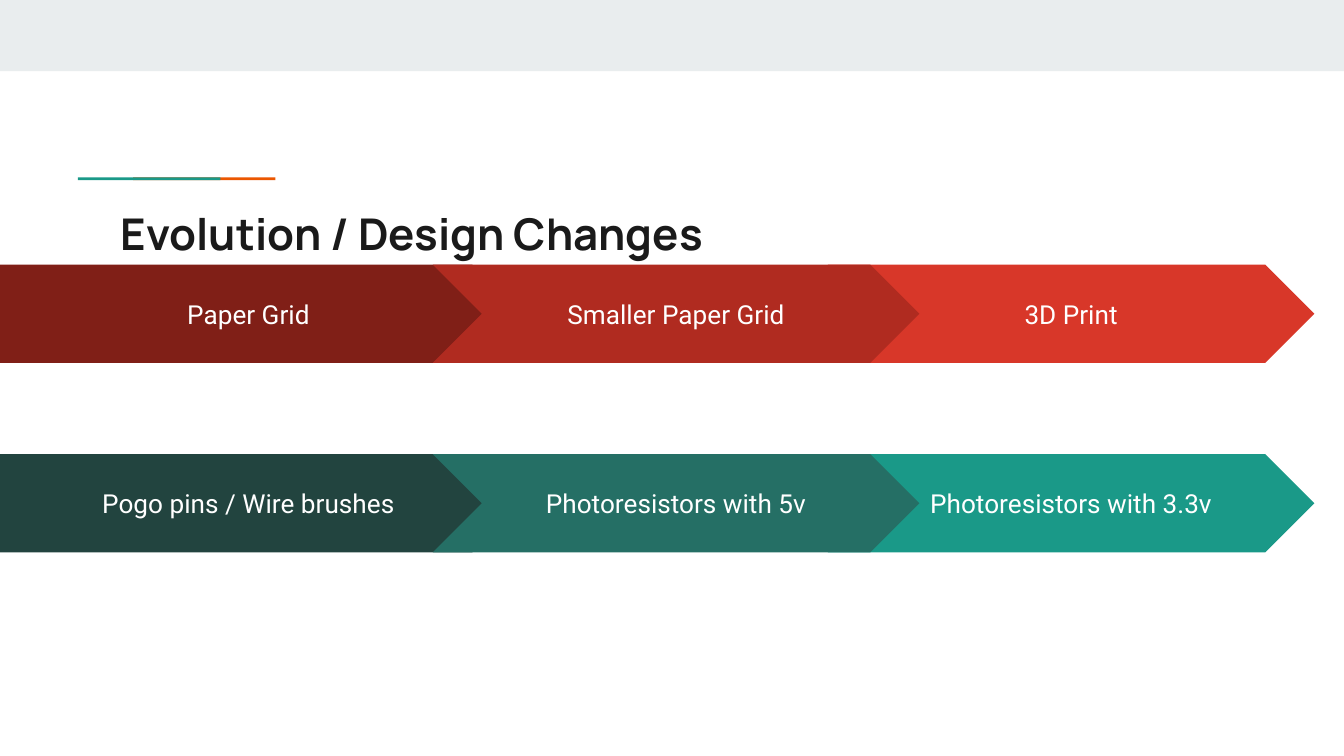
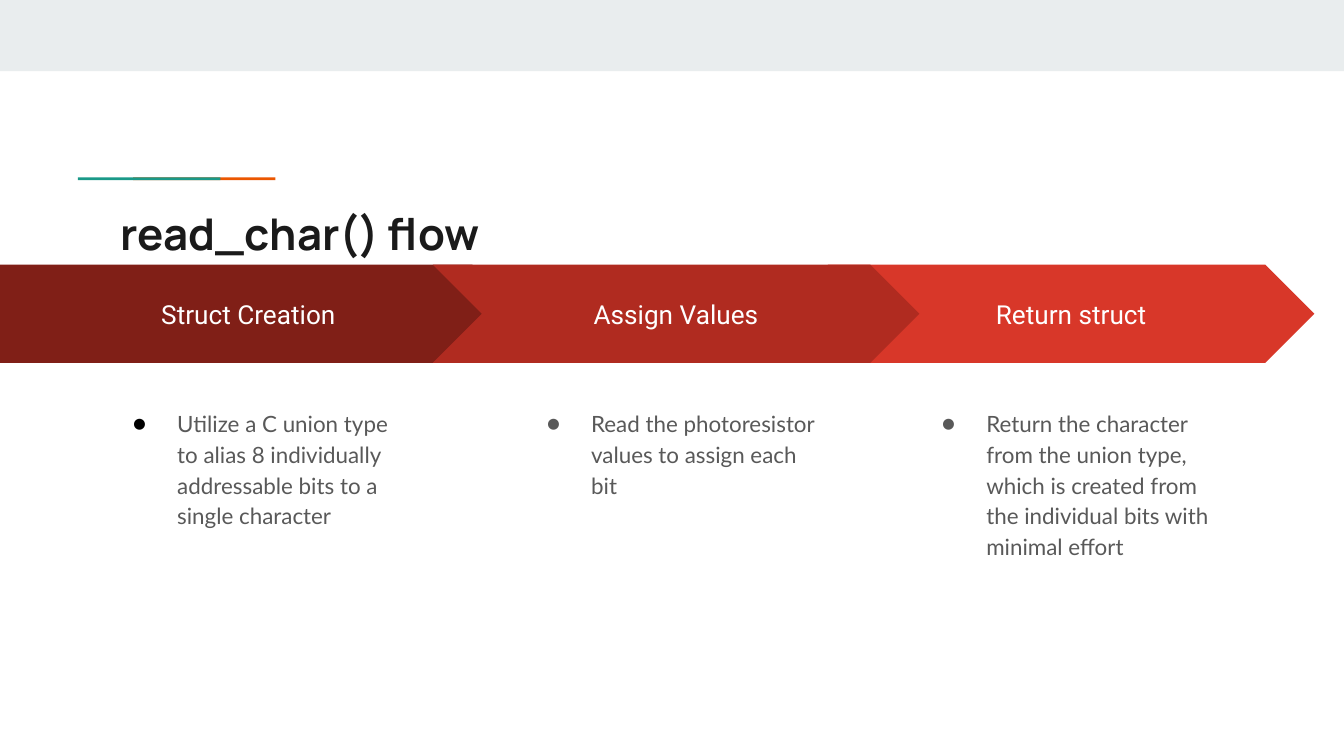
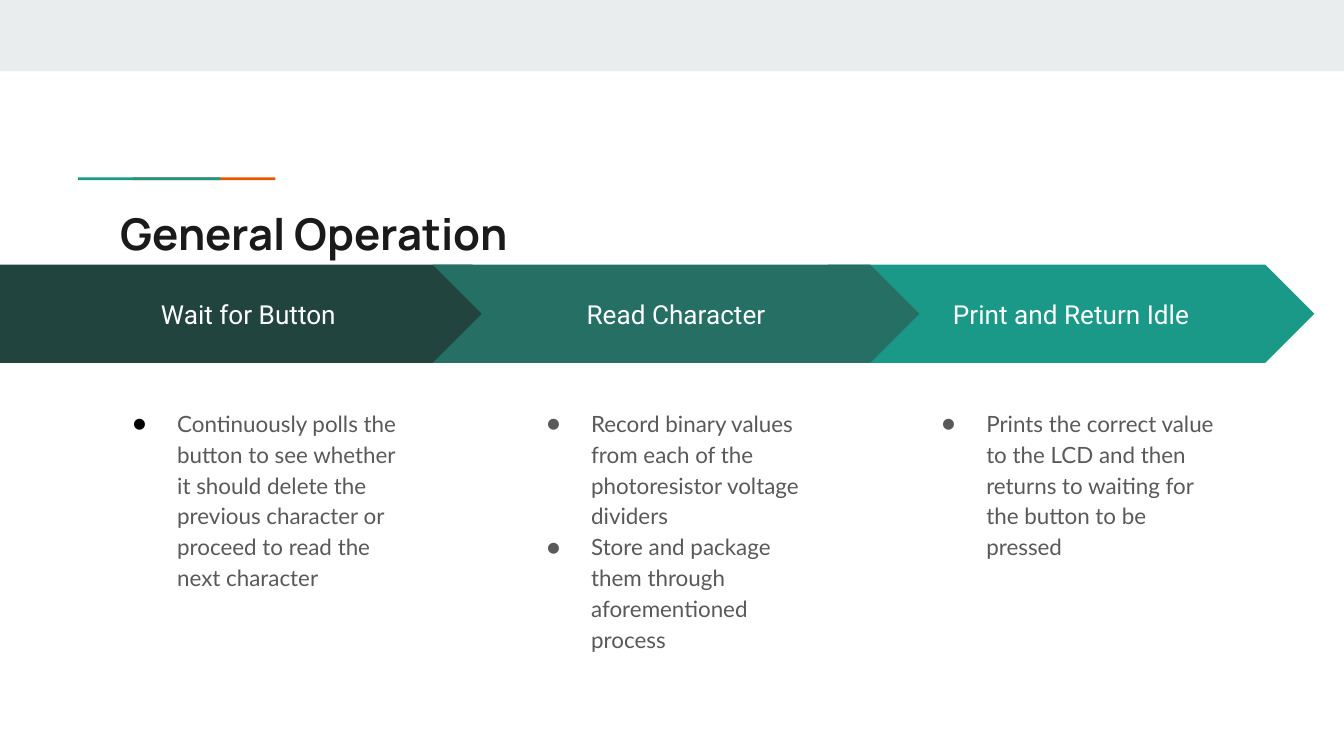
import pptx
import pptx.dml.color
import pptx.enum.shapes
import pptx.enum.text
import pptx.oxml.ns
import pptx.util
from lxml import etree

Inches = pptx.util.Inches
Shapes = pptx.enum.shapes.MSO_SHAPE
Align = pptx.enum.text.PP_ALIGN
Anchor = pptx.enum.text.MSO_ANCHOR

HEADER, ORANGE, TEAL = "E9EDEE", "EB5600", "1A9988"
INK, GRAY, WHITE, BLACK = "1A1A1A", "595959", "FFFFFF", "000000"
REDS = ["801F17", "B02B20", "D83729"]
GREENS = ["22443F", "256F65", TEAL]

BAND_HEIGHT = 0.73
BAND_TOPS = [1.97, 3.38]
STEP_LEFTS = [0, 3.22, 6.16]
STEP_WIDTHS = [3.88, 3.62, 3.62]
DRAWING_ORDER = [2, 0, 1]
NOTE_OFFSETS = [0.72, 0.58, 0.58]
NOTE_HEIGHTS = [2.86, 2.57, 2.57]
BULLET_COLORS = [BLACK, GRAY, GRAY]

SLIDES = [
    {
        "title": "Evolution / Design Changes",
        "bands": [
            (REDS, ["Paper Grid", "Smaller Paper Grid", "3D Print"]),
            (GREENS, ["Pogo pins / Wire brushes", "Photoresistors with 5v",
                      "Photoresistors with 3.3v"]),
        ],
        "notes": [],
    },
    {
        "title": "read_char() flow",
        "bands": [(REDS, ["Struct Creation", "Assign Values", "Return struct"])],
        "notes": [
            ["Utilize a C union type to alias 8 individually addressable bits "
             "to a single character"],
            ["Read the photoresistor values to assign each bit"],
            ["Return the character from the union type, which is created from "
             "the individual bits with minimal effort"],
        ],
    },
    {
        "title": "General Operation",
        "bands": [(GREENS, ["Wait for Button", "Read Character", "Print and Return Idle"])],
        "notes": [
            ["Continuously polls the button to see whether it should delete the "
             "previous character or proceed to read the next character"],
            ["Record binary values from each of the photoresistor voltage dividers",
             "Store and package them through aforementioned process"],
            ["Prints the correct value to the LCD and then returns to waiting "
             "for the button to be pressed"],
        ],
    },
]


def color(value):
    return pptx.dml.color.RGBColor.from_string(value)


def add_bullet(paragraph, bullet_color):
    properties = paragraph._p.get_or_add_pPr()
    properties.set("marL", str(Inches(0.5)))
    properties.set("indent", str(Inches(-0.33)))
    qualify = pptx.oxml.ns.qn
    tint = etree.SubElement(properties, qualify("a:buClr"))
    etree.SubElement(tint, qualify("a:srgbClr"), val=bullet_color)
    etree.SubElement(properties, qualify("a:buFont"), typeface="Lato")
    etree.SubElement(properties, qualify("a:buChar"), char="●")


def write_text(shape, lines, *, font, size, ink, bold=False, align=Align.LEFT,
               anchor=Anchor.TOP, spacing=None, bullet=None):
    frame = shape.text_frame
    frame.word_wrap = True
    frame.vertical_anchor = anchor
    frame.margin_left = frame.margin_right = Inches(0.1)
    frame.margin_top = frame.margin_bottom = Inches(0.1)
    for index, line in enumerate(lines):
        paragraph = frame.add_paragraph() if index else frame.paragraphs[0]
        if bullet:
            add_bullet(paragraph, bullet)
        paragraph.alignment = align
        if spacing:
            paragraph.line_spacing = spacing
        run = paragraph.add_run()
        run.text = line
        run.font.name = font
        run.font.size = pptx.util.Pt(size)
        run.font.bold = bold
        run.font.color.rgb = color(ink)


def add_filled_shape(slide, kind, left, top, width, height, fill):
    shape = slide.shapes.add_shape(
        kind, Inches(left), Inches(top), Inches(width), Inches(height))
    shape.shadow.inherit = False
    shape.fill.solid()
    shape.fill.fore_color.rgb = color(fill)
    shape.line.fill.background()
    return shape


def add_text_box(slide, lines, left, top, width, height, **text_format):
    box = slide.shapes.add_textbox(
        Inches(left), Inches(top), Inches(width), Inches(height))
    write_text(box, lines, **text_format)


def add_heading(slide, title, left, top):
    add_filled_shape(slide, Shapes.RECTANGLE, 0, 0, 10, 0.53, HEADER)
    for offset, fill in [(0.41, ORANGE), (0, TEAL)]:
        add_filled_shape(slide, Shapes.RECTANGLE, left + offset, top, 1.06, 0.02, fill)
    add_text_box(slide, [title], left + 0.22, top + 0.12, 8.41, 0.59,
                 font="Manrope", size=23.4, ink=INK, bold=True)


def add_band(slide, labels, fills, top):
    for step in DRAWING_ORDER:
        kind = Shapes.CHEVRON if step else Shapes.PENTAGON
        arrow = add_filled_shape(slide, kind, STEP_LEFTS[step], top,
                                 STEP_WIDTHS[step], BAND_HEIGHT, fills[step])
        arrow.adjustments[0] = 0.5
        write_text(arrow, [labels[step]], font="Roboto", size=14, ink=WHITE,
                   align=Align.CENTER, anchor=Anchor.MIDDLE)


def add_notes_row(slide, notes, top):
    for step, lines in enumerate(notes):
        add_text_box(slide, lines, STEP_LEFTS[step] + NOTE_OFFSETS[step], top,
                     2.45, NOTE_HEIGHTS[step], font="Lato", size=12, ink=GRAY,
                     spacing=1.15, bullet=BULLET_COLORS[step])


def add_process_slide(presentation, content):
    slide = presentation.slides.add_slide(presentation.slide_layouts[6])
    add_heading(slide, content["title"], 0.58, 1.32)
    for top, (fills, labels) in zip(BAND_TOPS, content["bands"]):
        add_band(slide, labels, fills, top)
    add_notes_row(slide, content["notes"], BAND_TOPS[0] + BAND_HEIGHT + 0.22)


def main():
    presentation = pptx.Presentation()
    presentation.slide_width = Inches(10)
    presentation.slide_height = Inches(10) * 9 // 16
    for content in SLIDES:
        add_process_slide(presentation, content)
    presentation.save("out.pptx")


if __name__ == "__main__":
    main()
